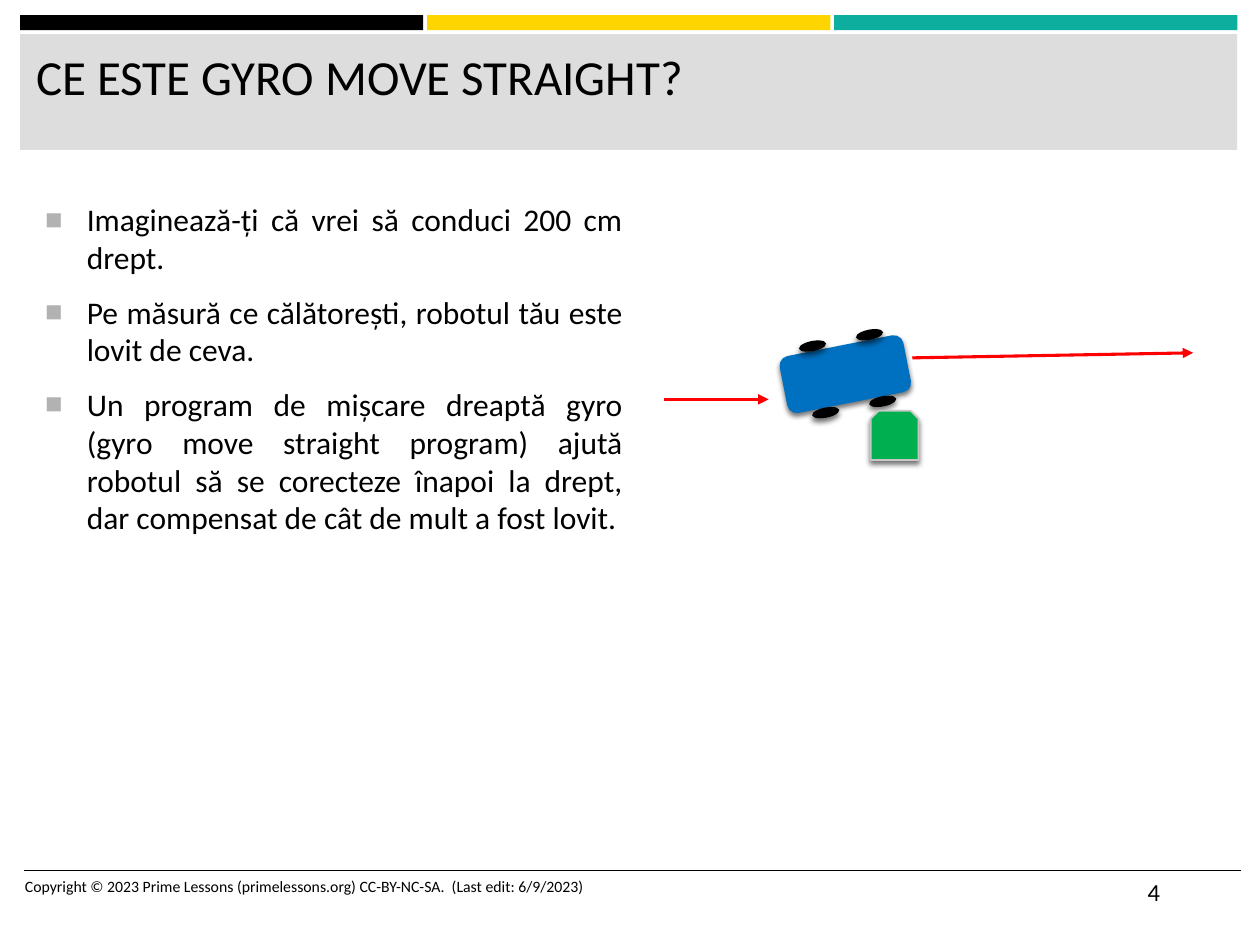
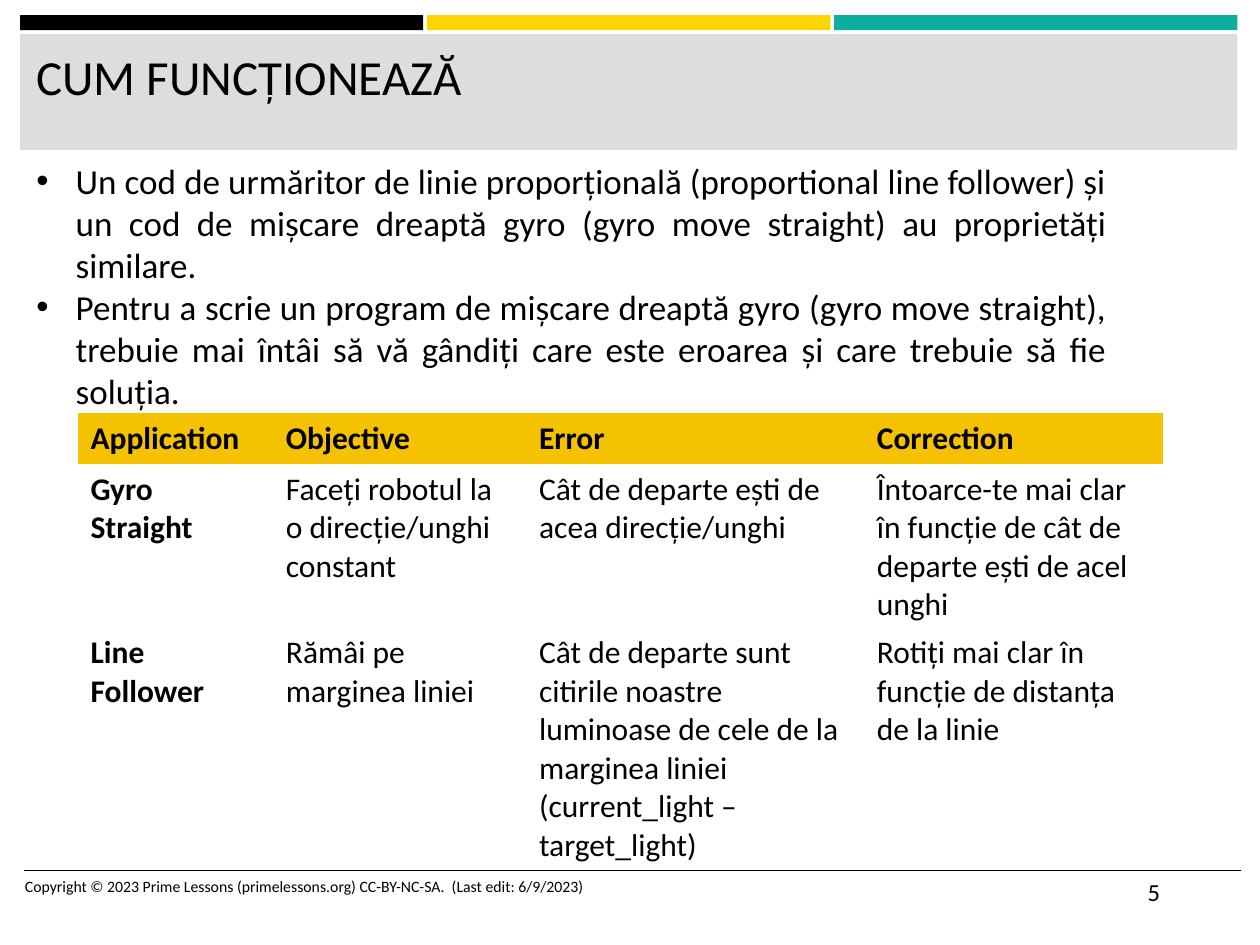
"""Build two lesson slides about driving straight with a gyro sensor."""
from dataclasses import dataclass

import pptx
import pptx.dml.color
import pptx.enum.shapes
import pptx.enum.text
import pptx.oxml
import pptx.oxml.ns
import pptx.util
from lxml import etree

Pt = pptx.util.Pt
qn = pptx.oxml.ns.qn
Shape = pptx.enum.shapes.MSO_SHAPE

MOTION = {
    "title": "CE ESTE GYRO MOVE STRAIGHT?",
    "number": "4",
    "points": [
        "Imaginează-ți că vrei să conduci 200 cm drept.",
        "Pe măsură ce călătorești, robotul tău este lovit de ceva.",
        "Un program de mișcare dreaptă gyro (gyro move straight program) ajută robotul "
        "să se corecteze înapoi la drept, dar compensat de cât de mult a fost lovit.",
    ],
}
METHOD = {
    "title": "CUM FUNCȚIONEAZĂ",
    "number": "5",
    "points": [
        "Un cod de urmăritor de linie proporțională (proportional line follower) și un cod "
        "de mișcare dreaptă gyro (gyro move straight) au proprietăți similare.",
        "Pentru a scrie un program de mișcare dreaptă gyro (gyro move straight), trebuie mai "
        "întâi să vă gândiți care este eroarea și care trebuie să fie soluția.",
    ],
    "table": [
        ("Application", "Objective", "Error", "Correction"),
        ("Gyro Straight", "Faceți robotul la o direcție/unghi constant",
         "Cât de departe ești de acea direcție/unghi",
         "Întoarce-te mai clar în funcție de cât de departe ești de acel unghi"),
        ("Line Follower", "Rămâi pe marginea liniei",
         "Cât de departe sunt citirile noastre luminoase de cele de la marginea liniei\n"
         "(current_light – target_light)",
         "Rotiți mai clar în funcție de distanța de la linie"),
    ],
}
COPYRIGHT = "Copyright © 2023 Prime Lessons (primelessons.org) CC-BY-NC-SA.  (Last edit: 6/9/2023)"


@dataclass(frozen=True)
class Theme:
    font: str = "Calibri"
    black: str = "000000"
    bands: tuple = ("000000", "FFD500", "0EAE9F")
    title_band: str = "DDDDDD"
    bullet: str = "B2B2B2"
    robot: str = "0070C0"
    obstacle: str = "00B050"
    obstacle_edge: str = "C7C7C7"
    arrow: str = "FF0000"
    header: str = "F5C201"
    title_size: int = 28
    lead_size: int = 20
    body_size: int = 18
    number_size: int = 14
    footer_size: int = 9


THEME = Theme()


def color(code):
    return pptx.dml.color.RGBColor.from_string(code)


def add_element(parent, tag, **attributes):
    return etree.SubElement(parent, qn(tag), **attributes)


def style_text(frame, size, bold=False):
    for para in frame.paragraphs:
        for span in para.runs:
            span.font.name = THEME.font
            span.font.size = Pt(size)
            span.font.bold = bold
            span.font.color.rgb = color(THEME.black)


def add_text(slide, area, text, size):
    box = slide.shapes.add_textbox(*map(Pt, area))
    frame = box.text_frame
    frame.word_wrap = True
    frame.text = text
    style_text(frame, size)
    return frame


def add_bullets(slide, area, points, size, mark, indent, tint=None, before=0, after=0):
    frame = add_text(slide, area, "\n".join(points), size)
    for index, para in enumerate(frame.paragraphs):
        para.alignment = pptx.enum.text.PP_ALIGN.JUSTIFY
        para.space_before = Pt(before if index else 0)
        para.space_after = Pt(after)
        properties = para._p.get_or_add_pPr()
        properties.set("marL", str(Pt(indent)))
        properties.set("indent", str(-Pt(indent)))
        if tint:
            add_element(add_element(properties, "a:buClr"), "a:srgbClr", val=tint)
            add_element(properties, "a:buSzPct", val="92000")
        add_element(properties, "a:buFont", typeface="Arial")
        add_element(properties, "a:buChar", char=mark)


def add_figure(shapes, kind, area, fill, edge=None, shadow=False):
    figure = shapes.add_shape(kind, *map(Pt, area))
    figure.shadow.inherit = False
    figure.fill.solid()
    figure.fill.fore_color.rgb = color(fill)
    if edge:
        figure.line.color.rgb = color(edge)
        figure.line.width = Pt(1)
    else:
        figure.line.fill.background()
    if shadow:
        effects = figure.element.spPr.find(qn("a:effectLst"))
        cast = add_element(effects, "a:outerShdw", blurRad=str(Pt(3)), dist=str(Pt(2)),
                           dir="5400000", rotWithShape="0")
        shade = add_element(cast, "a:srgbClr", val=THEME.black)
        add_element(shade, "a:alpha", val="55000")


def add_line(slide, start, end, tint, width, arrow=False):
    line = slide.shapes.add_connector(
        pptx.enum.shapes.MSO_CONNECTOR.STRAIGHT, *map(Pt, (*start, *end)))
    line.line.color.rgb = color(tint)
    line.line.width = Pt(width)
    if arrow:
        add_element(line.line._get_or_add_ln(), "a:tailEnd", type="triangle")
    add_element(line.element.spPr, "a:effectLst")


def add_page(deck, content):
    slide = deck.slides.add_slide(deck.slide_layouts[6])
    for index, tint in enumerate(THEME.bands):
        add_figure(slide.shapes, Shape.RECTANGLE, (11.5 + index * 232.6, 8.6, 230.4, 8.6), tint)
    add_figure(slide.shapes, Shape.RECTANGLE, (11.5, 19.5, 695.5, 66.2), THEME.title_band)
    add_line(slide, (13.7, 497.5), (709.2, 497.5), THEME.black, 1)
    add_text(slide, (13.7, 23, 689, 59), content["title"], THEME.title_size)
    add_text(slide, (7.2, 497.5, 383.8, 28.8), COPYRIGHT, THEME.footer_size)
    add_text(slide, (648.7, 497.5, 60.5, 28.8), content["number"], THEME.number_size)
    return slide


def add_robot(slide, center_x, center_y, angle):
    length, width = 72, 33.1
    wheel_length, wheel_width = 15.8, 5.8
    robot = slide.shapes.add_group_shape()
    add_figure(robot.shapes, Shape.ROUNDED_RECTANGLE,
               (center_x - length / 2, center_y - width / 2, length, width),
               THEME.robot, shadow=True)
    for along in (-15.3, 17.9):
        for across in (-19.4, 19.4):
            add_figure(robot.shapes, Shape.OVAL,
                       (center_x + along - wheel_length / 2, center_y + across - wheel_width / 2,
                        wheel_length, wheel_width), THEME.black, shadow=True)
    robot.rotation = angle


def add_comparison(slide, rows, left, top, widths, heights):
    holder = slide.shapes.add_table(len(rows), len(widths), Pt(left), Pt(top),
                                    Pt(sum(widths)), Pt(sum(heights)))
    table = holder.table
    table.horz_banding = False
    holder.element.xpath(".//a:tableStyleId")[0].text = "{2D5ABB26-0587-4C30-8999-92F81FD0307C}"
    for column, width in zip(table.columns, widths):
        column.width = Pt(width)
    for row_index, texts in enumerate(rows):
        table.rows[row_index].height = Pt(heights[row_index])
        for column_index, text in enumerate(texts):
            cell = table.cell(row_index, column_index)
            cell.text_frame.text = text
            style_text(cell.text_frame, THEME.body_size, row_index == 0 or column_index == 0)
            if row_index == 0:
                cell.fill.solid()
                cell.fill.fore_color.rgb = color(THEME.header)
            else:
                cell.fill.background()


def main():
    deck = pptx.Presentation()
    deck.slide_width, deck.slide_height = Pt(720), Pt(540)

    motion = add_page(deck, MOTION)
    add_bullets(motion, (18.7, 110.9, 344.2, 339), MOTION["points"], THEME.body_size,
                "■", 23.8, THEME.bullet, before=3.6, after=6)
    add_robot(motion, 483.1, 213.8, -11.2)
    add_line(motion, (521.3, 204.5), (681.8, 201.6), THEME.arrow, 1.75, arrow=True)
    add_figure(motion.shapes, Shape.SNIP_2_SAME_RECTANGLE, (497.5, 234.7, 27.4, 28.1),
               THEME.obstacle, THEME.obstacle_edge, shadow=True)
    add_line(motion, (379.4, 228.2), (439.2, 228.2), THEME.arrow, 1.75, arrow=True)

    method = add_page(deck, METHOD)
    add_comparison(method, METHOD["table"], 44.6, 236.2,
                   (111.6, 144.7, 193, 170.6), (28.1, 90.7, 132.5))
    add_bullets(method, (13.7, 87.8, 625.7, 152.6), METHOD["points"], THEME.lead_size, "•", 22.5)

    deck.save("out.pptx")


if __name__ == "__main__":
    main()
